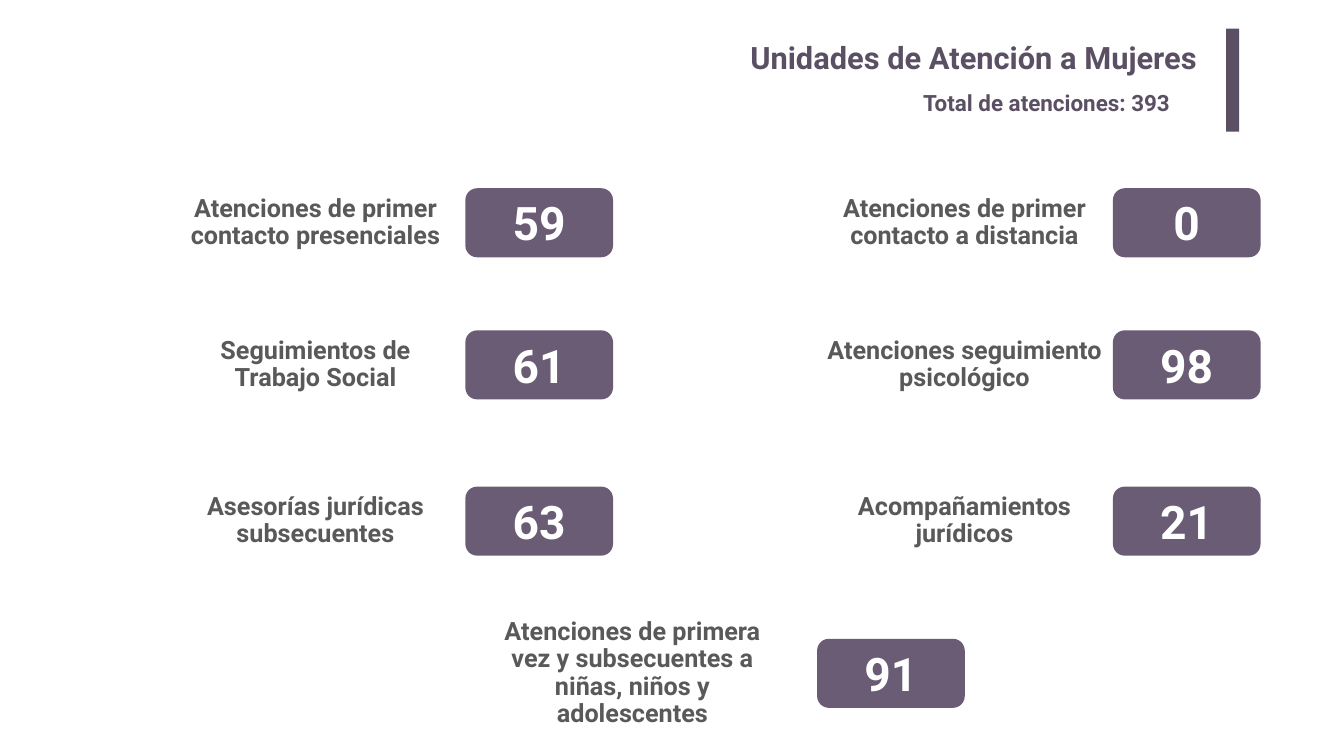
from dataclasses import dataclass

from pptx import Presentation
from pptx import util as u
from pptx.dml.color import RGBColor
from pptx.enum import shapes, text


@dataclass(frozen=True)
class Theme:
    font: str = "Roboto"
    heading: str = "5B4F63"
    label: str = "595959"
    badge: str = "6A5C74"
    number: str = "FFFFFF"
    title_size: int = 44
    subtitle_size: int = 32
    label_size: int = 36
    number_size: int = 66


@dataclass(frozen=True)
class Box:
    left: float
    top: float
    width: float
    height: float

    def emu(self) -> list[int]:
        return [u.Inches(v) for v in (self.left, self.top, self.width, self.height)]


@dataclass(frozen=True)
class Column:
    label_center: float
    badge_center: float


@dataclass(frozen=True)
class Indicator:
    label: str
    value: int
    column: Column
    row: float
    label_width: float


THEME = Theme()
WIDTH, HEIGHT = 26.67, 15
LEFT = Column(6.26, 10.7)
RIGHT = Column(19.14, 23.55)
MIDDLE = Column(12.55, 17.68)
ROWS = (4.42, 7.24, 10.34, 13.36)  # vertical centre of each row
BADGE_SIZE = (2.93, 1.37)
NUMBER_SIZE = (2.04, 1.21)
LABEL_HEIGHT = 1.2

INDICATORS = (
    Indicator("Atenciones de primer contacto presenciales", 59, LEFT, ROWS[0], 5.48),
    Indicator("Atenciones de primer contacto a distancia", 0, RIGHT, ROWS[0], 5.16),
    Indicator("Seguimientos de Trabajo Social", 61, LEFT, ROWS[1], 5.48),
    Indicator("Atenciones seguimiento psicológico", 98, RIGHT, ROWS[1], 7.81),
    Indicator("Asesorías jurídicas subsecuentes", 63, LEFT, ROWS[2], 6.05),
    Indicator("Acompañamientos jurídicos", 21, RIGHT, ROWS[2], 6.3),
    Indicator("Atenciones de primera vez y subsecuentes a niñas, niños y adolescentes",
              91, MIDDLE, ROWS[3], 6),
)


def centered(x: float, y: float, width: float, height: float) -> Box:
    return Box(x - width / 2, y - height / 2, width, height)


def write(shape, words: str, size: int, color: str, align=text.PP_ALIGN.CENTER,
          anchor=text.MSO_ANCHOR.TOP, spacing: float = 1.0) -> None:
    frame = shape.text_frame
    frame.text = words
    frame.word_wrap = True
    frame.auto_size = text.MSO_AUTO_SIZE.NONE
    frame.vertical_anchor = anchor
    para = frame.paragraphs[0]
    para.alignment = align
    para.line_spacing = spacing
    font = para.runs[0].font
    font.name, font.size, font.bold = THEME.font, u.Pt(size), True
    font.color.rgb = RGBColor.from_string(color)


def add_block(page, kind, box: Box, color: str):
    """Add a flat filled shape without outline or shadow."""
    block = page.shapes.add_shape(kind, *box.emu())
    block.shadow.inherit = False
    block.fill.solid()
    block.fill.fore_color.rgb = RGBColor.from_string(color)
    block.line.fill.background()
    return block


def add_heading(page) -> None:
    title = page.shapes.title
    title.left, title.top, title.width, title.height = Box(3.66, 0.67, 20.3, 1.02).emu()
    write(title, "Unidades de Atención a Mujeres", THEME.title_size, THEME.heading,
          text.PP_ALIGN.RIGHT)
    frame = title.text_frame
    frame.margin_left = frame.margin_right = u.Inches(0.2)
    frame.margin_top = frame.margin_bottom = u.Inches(0.1)
    add_block(page, shapes.MSO_SHAPE.RECTANGLE, Box(24.33, 0.57, 0.26, 2.04), THEME.heading)
    subtitle = page.shapes.add_textbox(*Box(18.22, 1.71, 5.92, 0.64).emu())
    total = sum(item.value for item in INDICATORS)
    write(subtitle, f"Total de atenciones: {total}", THEME.subtitle_size, THEME.heading,
          text.PP_ALIGN.LEFT)


def add_indicator(page, item: Indicator) -> None:
    label_box = centered(item.column.label_center, item.row, item.label_width, LABEL_HEIGHT)
    label = page.shapes.add_textbox(*label_box.emu())
    write(label, item.label, THEME.label_size, THEME.label,
          anchor=text.MSO_ANCHOR.MIDDLE, spacing=0.9)
    x = item.column.badge_center
    badge = add_block(page, shapes.MSO_SHAPE.ROUNDED_RECTANGLE,
                      centered(x, item.row, *BADGE_SIZE), THEME.badge)
    badge.adjustments[0] = 0.17
    number = page.shapes.add_textbox(*centered(x, item.row, *NUMBER_SIZE).emu())
    write(number, str(item.value), THEME.number_size, THEME.number)


def main() -> None:
    deck = Presentation()
    deck.slide_width, deck.slide_height = u.Inches(WIDTH), u.Inches(HEIGHT)
    page = deck.slides.add_slide(deck.slide_layouts.get_by_name("Title Only"))
    add_heading(page)
    for item in INDICATORS:
        add_indicator(page, item)
    deck.save("out.pptx")


if __name__ == "__main__":
    main()
